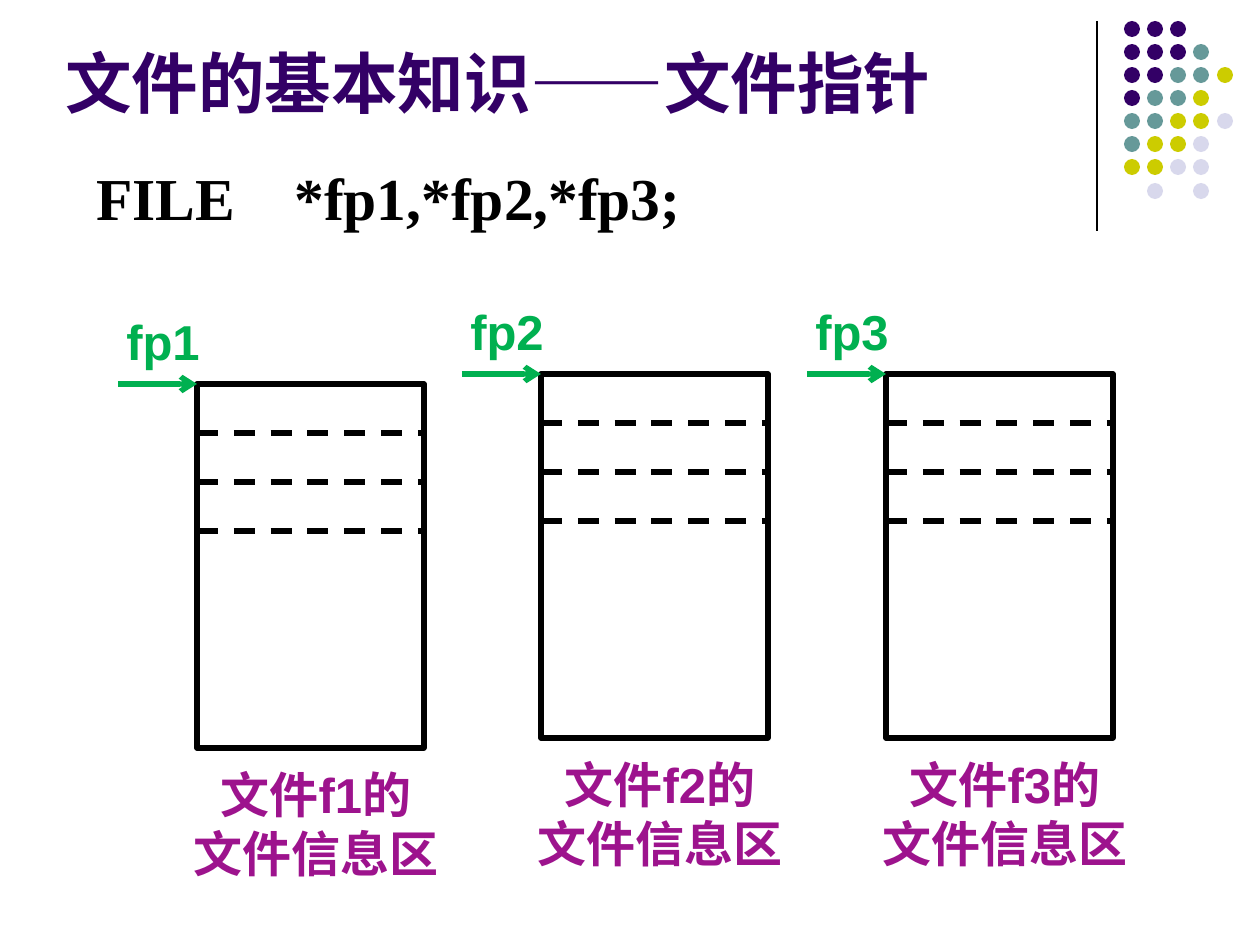
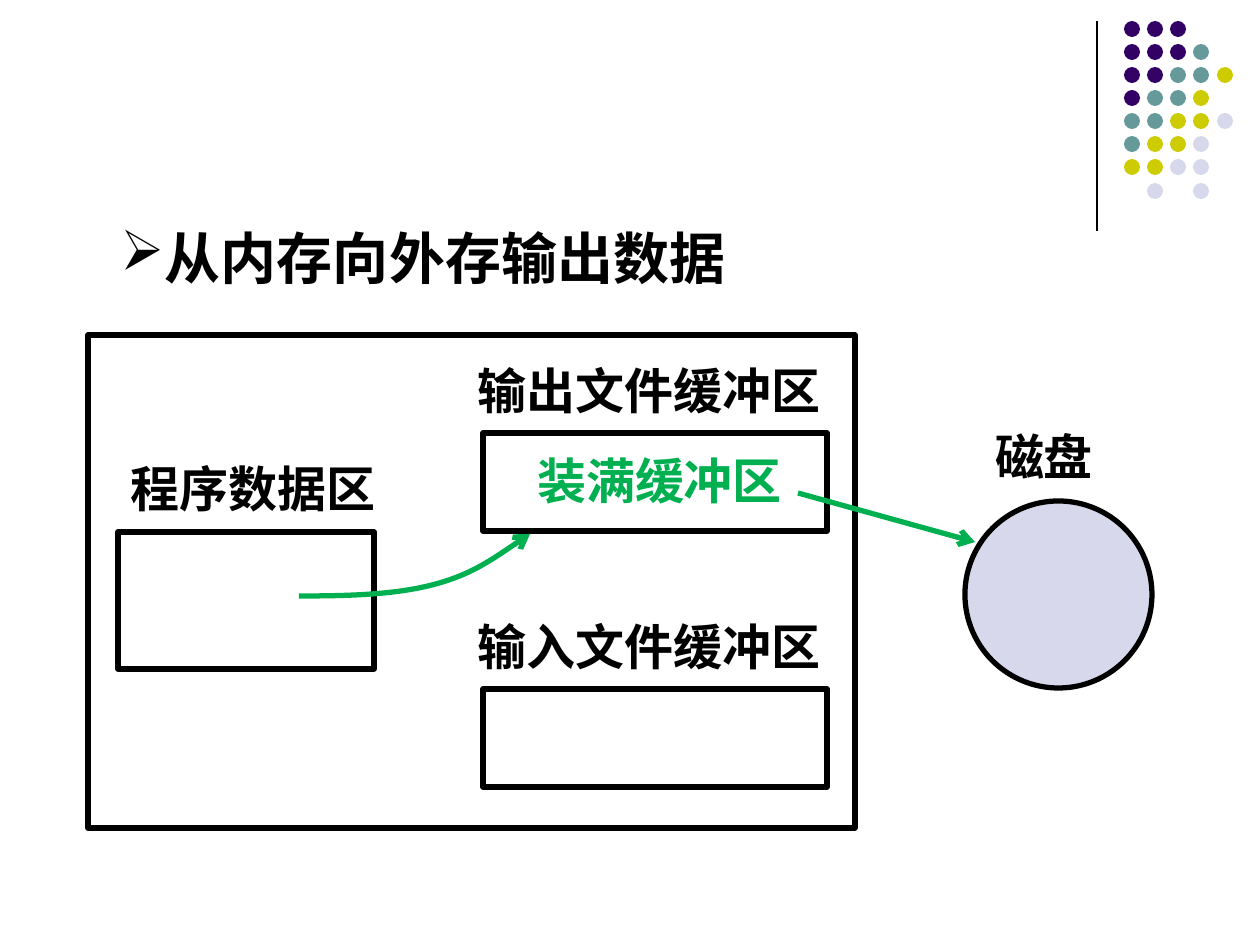
from lxml.etree import SubElement
from pptx import Presentation
from pptx.dml.color import RGBColor
from pptx.enum.dml import MSO_LINE
from pptx.enum.shapes import MSO_CONNECTOR, MSO_SHAPE
from pptx.enum.text import MSO_ANCHOR as Anchor, PP_ALIGN as Align
from pptx.oxml.ns import qn
from pptx.util import Pt

# Colours
BLACK = RGBColor(0x00, 0x00, 0x00)
INDIGO = RGBColor(0x33, 0x00, 0x66)
TEAL = RGBColor(0x66, 0x99, 0x99)
OLIVE = RGBColor(0xCC, 0xCC, 0x00)
LAVENDER = RGBColor(0xD8, 0xD8, 0xEC)
GREEN = RGBColor(0x00, 0xB0, 0x50)
PURPLE = RGBColor(0x9D, 0x13, 0x8D)

# Shared corner decoration: one letter per dot
DOT_ROWS = ["III", "IIIT", "IITTO", "ITTO", "TTOOL", "TOOL", "OOLL", " L L"]
DOT_COLOURS = {"I": INDIGO, "T": TEAL, "O": OLIVE, "L": LAVENDER}

# Slide 1: pointer, file, left and top of the information area
TITLE = "文件的基本知识——文件指针"
DECLARATION = "FILE　*fp1,*fp2,*fp3;"
INFO_AREAS = [("fp1", "f1", 197, 384), ("fp2", "f2", 541, 374), ("fp3", "f3", 886, 374)]
AREA_WIDTH, AREA_HEIGHT, FIELD_HEIGHT = 227, 364, 49

# Slide 2: boxes are left, top, width, height
HEADING = "从内存向外存输出数据"
MEMORY_BOXES = [(88, 335, 767, 493), (118, 532, 256, 137),
                (483, 433, 344, 98), (483, 689, 344, 98)]
DISK = (965, 501, 187, 187)
LABELS = [
    ("程序数据区", (118, 452, 286, 72), BLACK, Align.LEFT),
    ("输出文件缓冲区", (452, 354, 394, 72), BLACK, Align.CENTER),
    ("输入文件缓冲区", (452, 610, 394, 72), BLACK, Align.CENTER),
    ("磁盘", (965, 420, 158, 72), BLACK, Align.CENTER),
    ("装满缓冲区", (512, 444, 295, 72), GREEN, Align.CENTER),
]
CURVE = [(299, 596), (346, 596), (393, 595), (432, 585),
         (471, 575), (500, 554), (530, 534)]
DISK_ARROW = ((798, 493), (975, 542))

EMU_PER_PX = 914400 / 126


def emu(*lengths):
    return [round(length * EMU_PER_PX) for length in lengths]


def add_text(page, text, place, size=28, colour=BLACK, font="Arial",
             align=Align.LEFT, anchor=Anchor.TOP, bullet=None):
    box = page.shapes.add_textbox(*emu(*place))
    frame = box.text_frame
    frame.word_wrap = True
    frame.vertical_anchor = anchor
    for index, line in enumerate(text.split("\n")):
        para = frame.add_paragraph() if index else frame.paragraphs[0]
        para.alignment = align
        if bullet:
            SubElement(para._p.get_or_add_pPr(), qn("a:buChar")).set("char", bullet)
        span = para.add_run()
        span.text = line
        span.font.name = font
        span.font.size = Pt(size)
        span.font.bold = True
        span.font.color.rgb = colour


def style_line(line, colour=BLACK, width=3, dashed=False, arrow=False):
    line.color.rgb = colour
    line.width = Pt(width)
    if dashed:
        line.dash_style = MSO_LINE.DASH
    if arrow:
        SubElement(line._get_or_add_ln(), qn("a:tailEnd")).set("type", "arrow")


def add_shape(shapes, kind, place, fill=None, outlined=True):
    shape = shapes.add_shape(kind, *emu(*place))
    shape.shadow.inherit = False
    if fill is None:
        shape.fill.background()
    else:
        shape.fill.solid()
        shape.fill.fore_color.rgb = fill
    if outlined:
        style_line(shape.line)
    else:
        shape.line.fill.background()


def add_line(shapes, start, end, **style):
    line = shapes.add_connector(MSO_CONNECTOR.STRAIGHT, *emu(*start, *end))
    SubElement(line._element.spPr, qn("a:effectLst"))
    style_line(line.line, **style)


def add_curve(shapes, points, **style):
    """Draw cubic curves: a start, then three points for each piece."""
    start, *rest = [emu(*point) for point in points]
    builder = shapes.build_freeform(*start)
    builder.add_line_segments(rest, close=False)
    curve = builder.convert_to_shape()
    curve.shadow.inherit = False
    curve.fill.background()
    style_line(curve.line, **style)
    outline = curve._element.find(".//" + qn("a:path"))
    segments = outline.findall(qn("a:lnTo"))
    for first in range(0, len(segments), 3):
        piece = SubElement(outline, qn("a:cubicBezTo"))
        for segment in segments[first:first + 3]:
            piece.append(segment[0])
            outline.remove(segment)


def add_page(deck):
    page = deck.slides.add_slide(deck.slide_layouts[6])
    add_line(page.shapes, (1097, 21), (1097, 231), width=0.75)
    dots = page.shapes.add_group_shape().shapes
    for row, letters in enumerate(DOT_ROWS):
        for column, letter in enumerate(letters):
            if letter in DOT_COLOURS:
                place = (1124 + column * 93 // 4, 21 + row * 162 // 7, 16, 16)
                add_shape(dots, MSO_SHAPE.OVAL, place,
                          fill=DOT_COLOURS[letter], outlined=False)
    return page


def add_info_area(page, pointer, file, left, top):
    add_text(page, f"文件{file}的\n文件信息区", (left - 19, top + 374, 276, 131),
             colour=PURPLE, align=Align.CENTER)
    area = page.shapes.add_group_shape().shapes
    add_shape(area, MSO_SHAPE.RECTANGLE, (left, top, AREA_WIDTH, AREA_HEIGHT))
    for field in (1, 2, 3):
        y = top + field * FIELD_HEIGHT
        add_line(area, (left, y), (left + AREA_WIDTH, y), dashed=True)
    add_text(page, pointer, (left - 88, top - 79, 108, 72),
             colour=GREEN, align=Align.CENTER)
    add_line(page.shapes, (left - 79, top), (left, top), colour=GREEN, arrow=True)


def build_pointer_page(deck):
    page = add_page(deck)
    add_text(page, TITLE, (53, 35, 1123, 93), size=38, colour=INDIGO,
             anchor=Anchor.BOTTOM)
    add_text(page, DECLARATION, (84, 155, 1123, 118), size=34,
             font="Times New Roman")
    for info_area in INFO_AREAS:
        add_info_area(page, *info_area)


def build_output_page(deck):
    page = add_page(deck)
    add_text(page, HEADING, (108, 217, 808, 81), size=32, bullet="➢")
    for place in MEMORY_BOXES:
        add_shape(page.shapes, MSO_SHAPE.RECTANGLE, place)
    add_shape(page.shapes, MSO_SHAPE.OVAL, DISK, fill=LAVENDER)
    for text, place, colour, align in LABELS:
        add_text(page, text, place, colour=colour, align=align)
    add_curve(page.shapes, CURVE, colour=GREEN, arrow=True)
    add_line(page.shapes, *DISK_ARROW, colour=GREEN, arrow=True)


def main():
    deck = Presentation()
    deck.slide_width, deck.slide_height = emu(1260, 945)
    build_pointer_page(deck)
    build_output_page(deck)
    deck.save("out.pptx")


if __name__ == "__main__":
    main()
